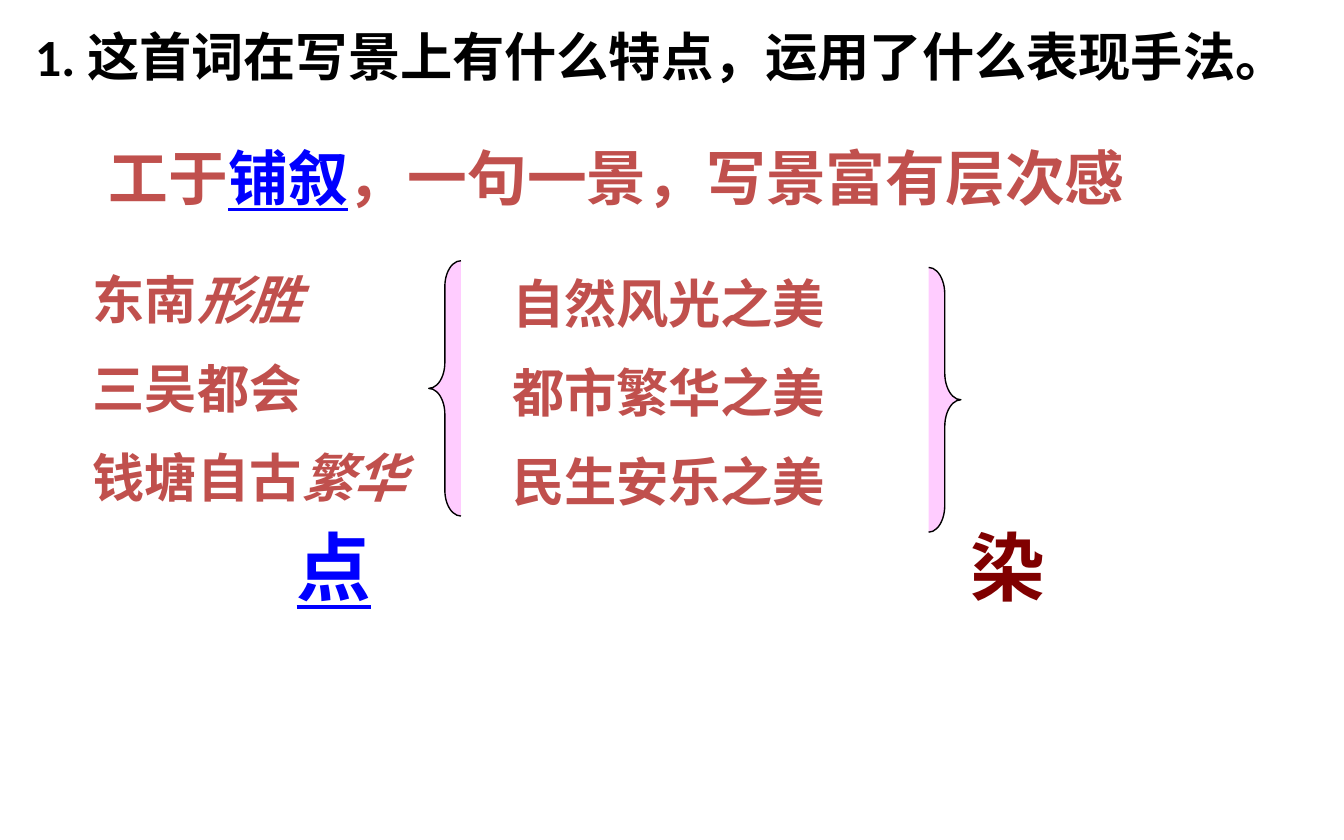
from dataclasses import dataclass

from lxml.etree import SubElement
from pptx import Presentation
from pptx.dml.color import RGBColor as RGB
from pptx.enum.shapes import MSO_SHAPE as SHAPE
from pptx.enum.text import MSO_ANCHOR as ANCHOR, MSO_AUTO_SIZE as FIT, PP_ALIGN as ALIGN
from pptx.oxml.ns import qn
from pptx.util import Inches, Pt


@dataclass(frozen=True)
class Theme:
    font: str = "Calibri"
    black: RGB = RGB(0x00, 0x00, 0x00)
    red: RGB = RGB(0xC0, 0x50, 0x4D)
    blue: RGB = RGB(0x00, 0x00, 0xFF)
    maroon: RGB = RGB(0x80, 0x00, 0x00)
    pink: RGB = RGB(0xFF, 0xCC, 0xFF)
    body: int = 28
    lead: int = 32
    key: int = 40


T = Theme()


def place(sp, x, y, w, h):
    sp.left, sp.top, sp.width, sp.height = map(Inches, (x, y, w, h))
    tf = sp.text_frame
    tf.word_wrap = True
    tf.auto_size = FIT.NONE
    tf.vertical_anchor = ANCHOR.TOP
    return tf


def add_run(p, text, size, color, italic=False, underline=False):
    r = p.add_run()
    r.text = text
    f = r.font
    f.name, f.size, f.bold = T.font, Pt(size), True
    f.italic, f.underline = italic, underline
    f.color.rgb = color


prs = Presentation()
prs.slide_width, prs.slide_height = Inches(10), Inches(6.25)
s = prs.slides.add_slide(prs.slide_layouts[3])
title, scenes, beauties = s.placeholders

p = place(title, 0.16, 0.13, 9.21, 0.57).paragraphs[0]
p.alignment = ALIGN.LEFT
add_run(p, "1. 这首词在写景上有什么特点，运用了什么表现手法。", T.body, T.black)

lead = s.shapes.add_textbox(0, 0, 0, 0)
p = place(lead, 0.71, 1, 8.11, 0.64).paragraphs[0]
add_run(p, "工于", T.lead, T.red)
add_run(p, "铺叙", T.lead, T.blue, underline=True)
add_run(p, "，一句一景，写景富有层次感", T.lead, T.red)

lists = [
    (scenes, 0.59, 1.94, [("东南", "形胜"), ("三吴都会", ""), ("钱塘自古", "繁华")]),
    (beauties, 3.71, 1.97, [("自然风光之美", ""), ("都市繁华之美", ""), ("民生安乐之美", "")]),
]
for sp, x, y, lines in lists:
    tf = place(sp, x, y, 2.6, 1.99)
    for i, (plain, stressed) in enumerate(lines):
        p = tf.add_paragraph() if i else tf.paragraphs[0]
        pPr = p._p.get_or_add_pPr()
        pPr.set("marL", "0")
        pPr.set("indent", "0")
        SubElement(pPr, qn("a:buNone"))
        p.space_before = Pt(T.body / 2 if i else 0)
        add_run(p, plain, T.body, T.red)
        if stressed:
            add_run(p, stressed, T.body, T.red, italic=True)

braces = [
    (SHAPE.LEFT_BRACE, 3.19, 1.94, 1.9, 0.8),
    (SHAPE.RIGHT_BRACE, 6.91, 1.99, 1.97, 0.83),
]
for kind, x, y, h, curve in braces:
    sp = s.shapes.add_shape(kind, Inches(x), Inches(y), Inches(0.24), Inches(h))
    sp.shadow.inherit = False
    sp.adjustments[0] = curve
    sp.fill.solid()
    sp.fill.fore_color.rgb = T.pink
    sp.line.color.rgb = T.black
    sp.line.width = Pt(0.75)

for text, x, w, color, underline in [
    ("染", 7.12, 1.65, T.maroon, False),
    ("点", 2.11, 1.1, T.blue, True),
]:
    key = s.shapes.add_textbox(0, 0, 0, 0)
    p = place(key, x, 3.83, w, 0.77).paragraphs[0]
    add_run(p, text, T.key, color, underline=underline)

prs.save("out.pptx")
